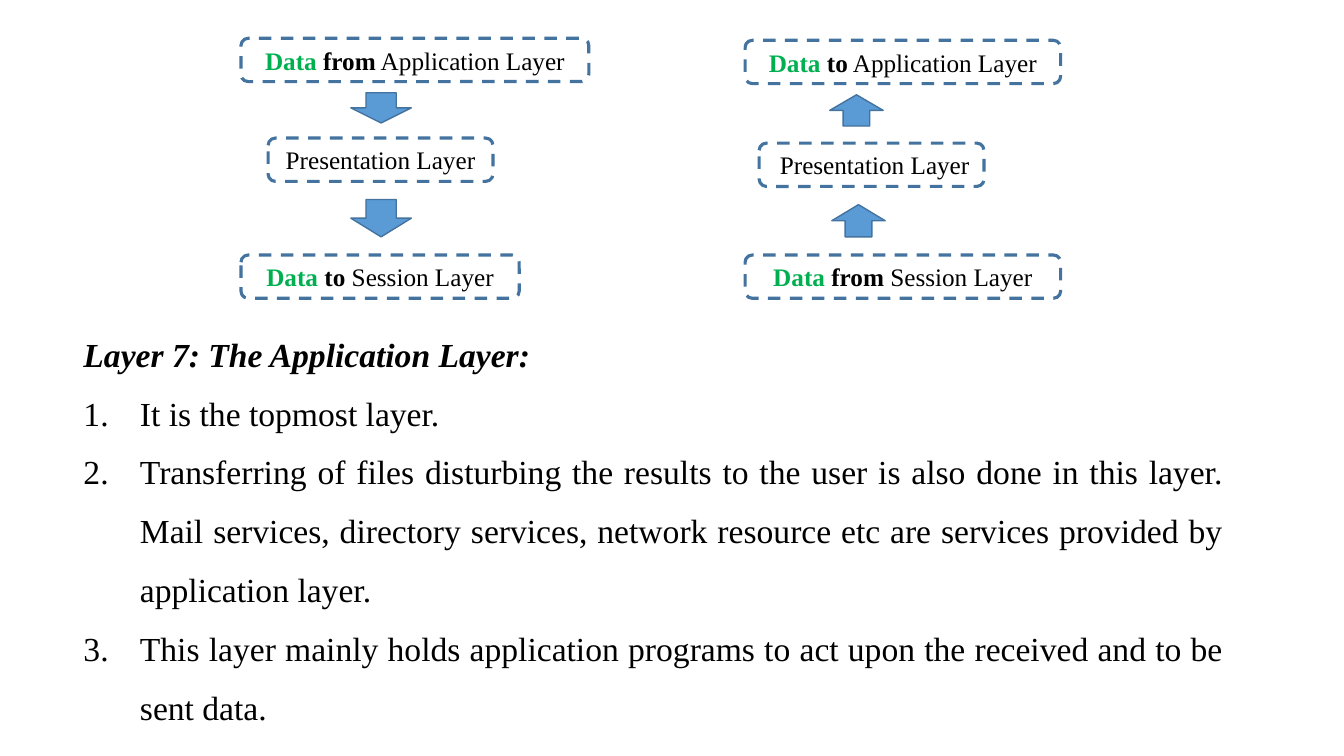
from pptx import Presentation
from pptx.dml.color import RGBColor
from pptx.enum.dml import MSO_LINE
from pptx.enum.shapes import MSO_SHAPE
from pptx.enum.text import MSO_ANCHOR, PP_ALIGN
from pptx.oxml.ns import qn
from pptx.util import Inches, Pt
from lxml import etree

BLACK = RGBColor(0x00, 0x00, 0x00)
GREEN = RGBColor(0x00, 0xB0, 0x50)
BLUE = RGBColor(0x5B, 0x9B, 0xD5)
DARK_BLUE = RGBColor(0x43, 0x73, 0x9E)
FONT = "Times New Roman"

ROUND_RECT = MSO_SHAPE.ROUNDED_RECTANGLE
DOWN, UP = MSO_SHAPE.DOWN_ARROW, MSO_SHAPE.UP_ARROW
DASH = MSO_LINE.DASH
MIDDLE = MSO_ANCHOR.MIDDLE
LEFT, CENTER, JUSTIFY = PP_ALIGN.LEFT, PP_ALIGN.CENTER, PP_ALIGN.JUSTIFY

BOX_HEIGHT = 0.43
NUMBER_INDENT = Inches(0.56)

# left, top, width, runs of (text, colour, bold)
LAYER_BOXES = [
    (2.39, 0.38, 3.45, [("Data ", GREEN, True), ("from", BLACK, True),
                        (" Application Layer", BLACK, False)]),
    (2.66, 1.37, 2.23, [("Presentation Layer", BLACK, False)]),
    (2.39, 2.53, 2.76, [("Data ", GREEN, True), ("to ", BLACK, True),
                        ("Session Layer", BLACK, False)]),
    (7.39, 0.4, 3.13, [("Data ", GREEN, True), ("to", BLACK, True),
                       (" Application Layer", BLACK, False)]),
    (7.53, 1.42, 2.23, [(" Presentation Layer", BLACK, False)]),
    (7.39, 2.53, 3.13, [("Data ", GREEN, True), ("from ", BLACK, True),
                        ("Session Layer", BLACK, False)]),
]

# direction, left, top, width, height
ARROWS = [
    (DOWN, 3.48, 0.92, 0.6, 0.3),
    (DOWN, 3.48, 1.98, 0.6, 0.37),
    (UP, 8.23, 0.94, 0.53, 0.31),
    (UP, 8.25, 2.03, 0.53, 0.32),
]

HEADING = "Layer 7: The Application Layer:"
POINTS = [
    "It is the topmost layer.",
    "Transferring of files disturbing the results to the user is also done in "
    "this layer. Mail services, directory services, network resource etc are "
    "services provided by application layer.",
    "This layer mainly holds application programs to act upon the received "
    "and to be sent data.",
]


def add_run(p, text, size, color=BLACK, bold=False, italic=False):
    r = p.add_run()
    r.text = text
    r.font.name = FONT
    r.font.size = Pt(size)
    r.font.color.rgb = color
    r.font.bold = bold
    r.font.italic = italic


def add_outlined_shape(s, kind, left, top, width, height, line_width):
    sp = s.shapes.add_shape(kind, Inches(left), Inches(top),
                            Inches(width), Inches(height))
    sp.shadow.inherit = False
    sp.line.color.rgb = DARK_BLUE
    sp.line.width = Pt(line_width)
    return sp


def add_layer_box(s, left, top, width, runs):
    sp = add_outlined_shape(s, ROUND_RECT, left, top, width, BOX_HEIGHT, 2.25)
    sp.fill.background()
    sp.line.dash_style = DASH
    tf = sp.text_frame
    tf.word_wrap = True
    tf.vertical_anchor = MIDDLE
    p = tf.paragraphs[0]
    p.alignment = CENTER
    for text, color, bold in runs:
        add_run(p, text, 18, color, bold)


def add_arrow(s, kind, left, top, width, height):
    sp = add_outlined_shape(s, kind, left, top, width, height, 1)
    sp.fill.solid()
    sp.fill.fore_color.rgb = BLUE


def number_paragraph(p):
    pPr = p._p.get_or_add_pPr()
    pPr.set("marL", str(NUMBER_INDENT))
    pPr.set("indent", str(-NUMBER_INDENT))
    etree.SubElement(pPr, qn("a:buFont"), typeface="+mj-lt")
    etree.SubElement(pPr, qn("a:buAutoNum"), type="arabicPeriod")


def add_description(s):
    sp = s.shapes.add_textbox(Inches(0.73), Inches(3.34),
                              Inches(11.5), Inches(4.01))
    tf = sp.text_frame
    tf.word_wrap = True
    p = tf.paragraphs[0]
    p.alignment = LEFT
    p.line_spacing = 0.8
    p.space_before = Pt(10)
    add_run(p, HEADING, 24, bold=True, italic=True)
    for point in POINTS:
        p = tf.add_paragraph()
        p.alignment = JUSTIFY
        p.line_spacing = 1.46
        p.space_before = Pt(0)
        number_paragraph(p)
        add_run(p, point, 24)


def main():
    prs = Presentation()
    prs.slide_width = Inches(13.33)
    prs.slide_height = Inches(7.5)
    s = prs.slides.add_slide(prs.slide_layouts[6])

    # Numbered description of the application layer
    add_description(s)

    # Data flow down on the left and up on the right
    for box in LAYER_BOXES:
        add_layer_box(s, *box)
    for arrow in ARROWS:
        add_arrow(s, *arrow)

    prs.save("out.pptx")


if __name__ == "__main__":
    main()
